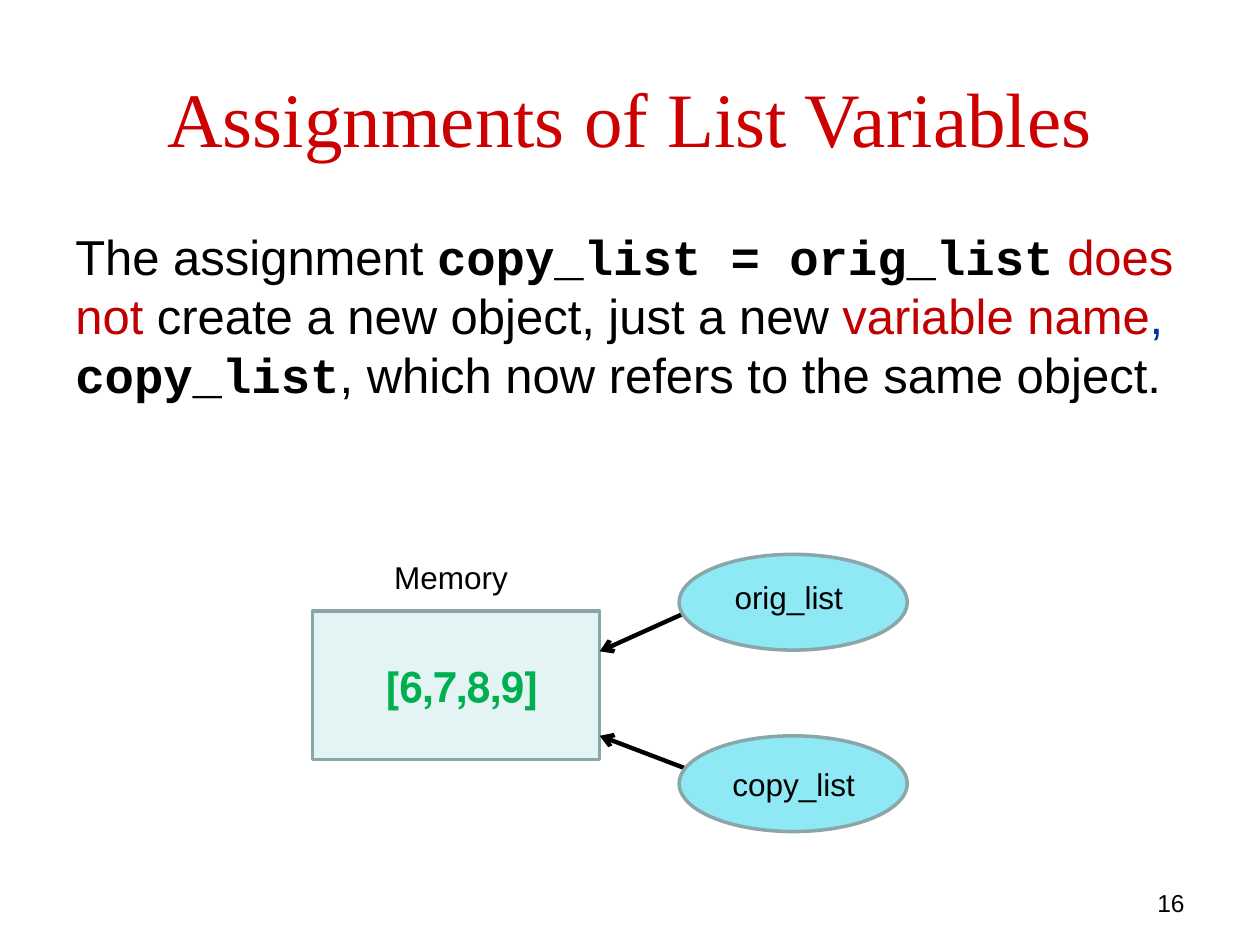
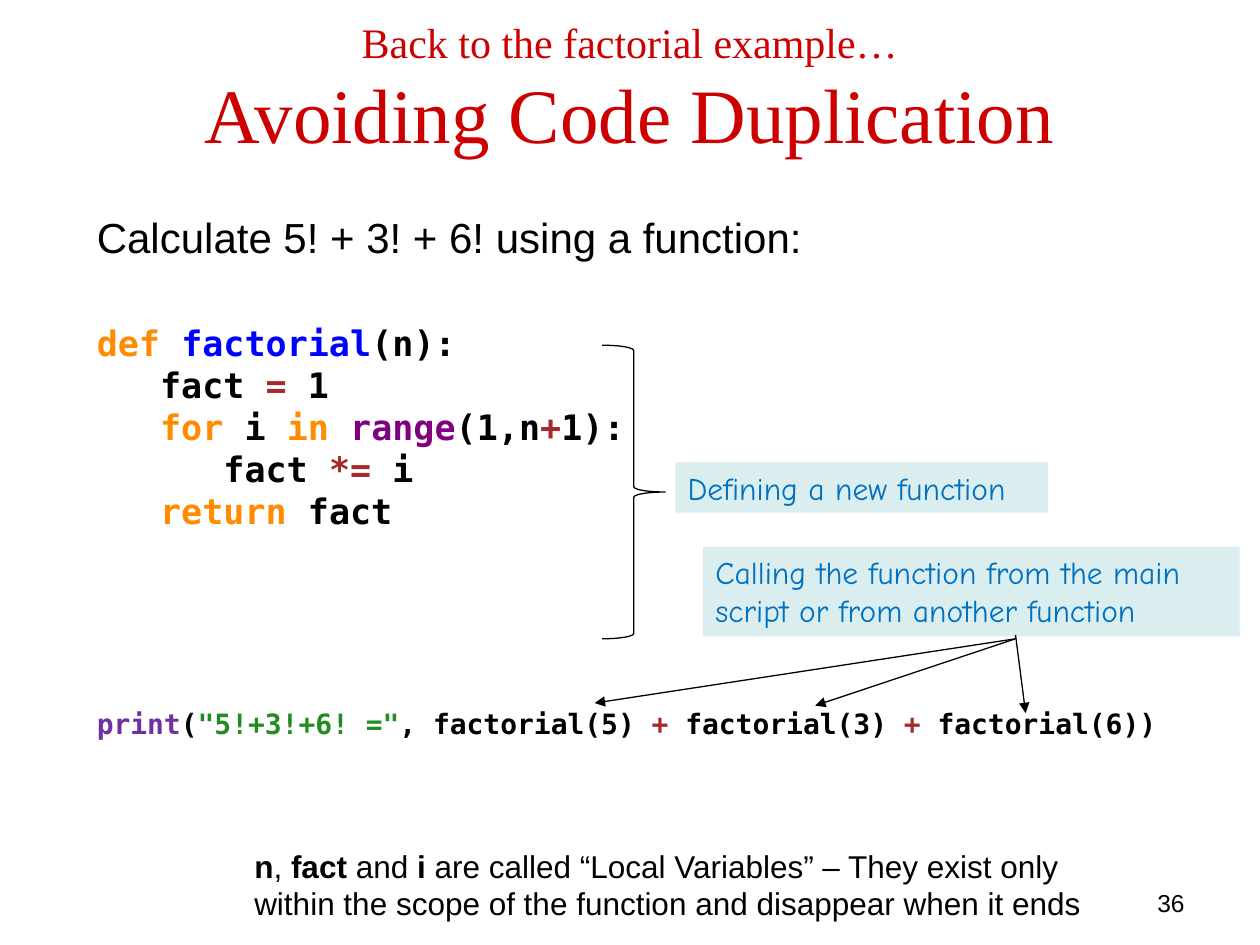
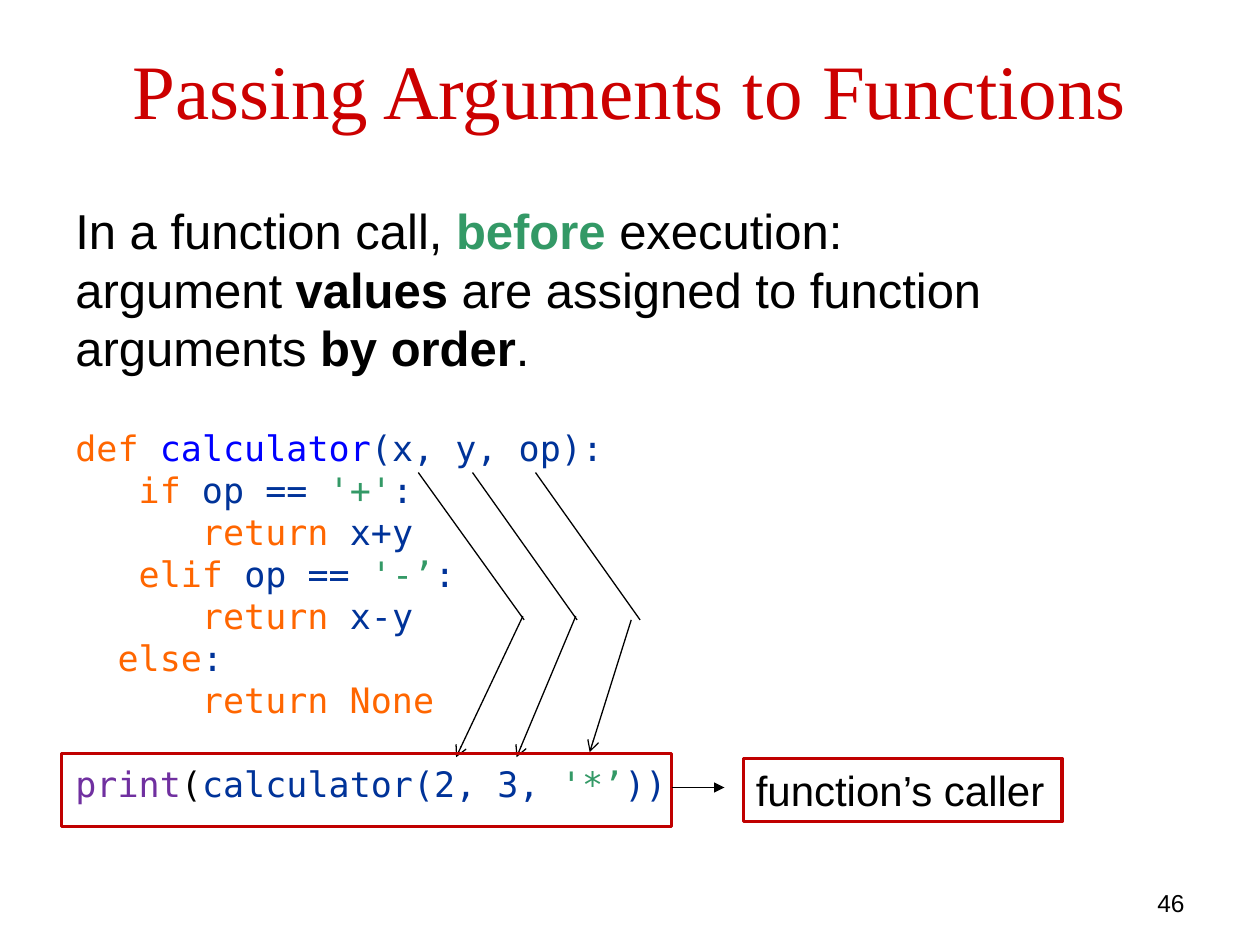
from collections import namedtuple

from lxml.etree import SubElement
from pptx import Presentation
from pptx.dml.color import RGBColor
from pptx.enum.shapes import MSO_CONNECTOR, MSO_SHAPE
from pptx.enum.text import MSO_ANCHOR, PP_ALIGN
from pptx.oxml.ns import qn
from pptx.util import Inches, Pt

BLACK = "000000"
DARK_RED = "C00000"
NAVY = "003399"
BLUE = "0000FF"
GREEN = "339966"
VIOLET = "7030A0"
ORANGE = "FF6600"
GREY_TEAL = "8AA6A8"
PALE_TEAL = "DAEDEF"

SANS = {"name": "Arial", "color": BLACK, "bold": False}
TITLE = {"name": "Times New Roman", "size": 44, "color": "CC0000", "bold": False}
BODY = SANS | {"size": 28}
LEAD = SANS | {"size": 24}
LABEL = SANS | {"size": 18}
CALLOUT = {"name": "Comic Neue", "size": 18, "color": "0070C0", "bold": False}
CODE = {"name": "DejaVu Sans Mono", "size": 20, "color": BLACK, "bold": False}
BOLD_CODE = CODE | {"bold": True}
BOLD = {"bold": True}

# Runs are plain strings or (text, format changes); gap is the space before, in points.
Line = namedtuple("Line", "runs style gap", defaults=(0,))


def rgb(hex_color):
    return RGBColor.from_string(hex_color)


def tint(text, hex_color, **changes):
    return text, {"color": hex_color, **changes}


def set_font(font, style):
    for key, value in style.items():
        if key == "color":
            font.color.rgb = rgb(value)
        else:
            setattr(font, key, Pt(value) if key == "size" else value)


def write(shape, lines, align=PP_ALIGN.LEFT, anchor=MSO_ANCHOR.TOP):
    frame = shape.text_frame
    frame.word_wrap = True
    frame.vertical_anchor = anchor
    for index, line in enumerate(lines):
        paragraph = frame.add_paragraph() if index else frame.paragraphs[0]
        paragraph.alignment = align
        if line.gap:
            paragraph.space_before = Pt(line.gap)
        for part in line.runs:
            text, changes = (part, {}) if isinstance(part, str) else part
            run = paragraph.add_run()
            run.text = text
            set_font(run.font, line.style | changes)


def add_text(slide, box, lines, **layout):
    write(slide.shapes.add_textbox(*map(Inches, box)), lines, **layout)


def add_box(slide, box, preset=MSO_SHAPE.RECTANGLE, fill=None, outline=None, width=2):
    shape = slide.shapes.add_shape(preset, *map(Inches, box))
    shape.shadow.inherit = False
    if fill:
        shape.fill.solid()
        shape.fill.fore_color.rgb = rgb(fill)
    else:
        shape.fill.background()
    if outline:
        shape.line.color.rgb = rgb(outline)
        shape.line.width = Pt(width)
    else:
        shape.line.fill.background()
    return shape


def add_line(slide, start, end, arrow=None, width=0.75):
    line = slide.shapes.add_connector(MSO_CONNECTOR.STRAIGHT, *map(Inches, (*start, *end)))
    line.line.color.rgb = rgb(BLACK)
    line.line.width = Pt(width)
    if arrow:
        SubElement(line.line._get_or_add_ln(), qn("a:tailEnd"), type=arrow)
    SubElement(line._element.spPr, qn("a:effectLst"))


def add_slide(deck, number, title_lines, title_top=0.3):
    """Add a blank slide with the shared title and slide number."""
    slide = deck.slides.add_slide(deck.slide_layouts[6])
    add_text(slide, (0.5, title_top, 9, 1.25), title_lines,
             align=PP_ALIGN.CENTER, anchor=MSO_ANCHOR.MIDDLE)
    add_text(slide, (7.17, 7, 2.33, 0.25), [Line([str(number)], SANS | {"size": 14})],
             align=PP_ALIGN.RIGHT)
    return slide


def build_list_variables(deck):
    slide = add_slide(deck, 16, [Line(["Assignments of List Variables"], TITLE)])
    courier = {"name": "Courier New", "bold": True}
    add_text(slide, (0.5, 1.75, 9, 4.95), [Line([
        "The assignment ", ("copy_list = orig_list", courier),
        tint(" does not ", DARK_RED), "create a new object, just a new ",
        tint("variable name", DARK_RED), tint(", ", NAVY),
        ("copy_list", courier), ", which now refers to the same object."], BODY)])

    memory = add_box(slide, (2.48, 4.85, 2.28, 1.18), fill="E4F3F4", outline=GREY_TEAL)
    write(memory, [Line([tint("[6,7,8,9] ", "00B050", bold=True)], LEAD)],
          align=PP_ALIGN.CENTER, anchor=MSO_ANCHOR.MIDDLE)
    memory.text_frame.paragraphs[0]._p.get_or_add_pPr().set("rtl", "1")
    add_text(slide, (3.03, 4.38, 1.18, 0.4), [Line(["Memory"], LABEL)])

    for name, oval_top, name_left, name_top, start_y, end_y in (
            ("orig_list", 4.4, 5.67, 4.54, 4.85, 5.17),
            ("copy_list", 5.84, 5.71, 6.02, 6.11, 5.84)):
        add_line(slide, (5.47, start_y), (4.76, end_y), "arrow", 2.5)
        add_box(slide, (5.39, oval_top, 1.81, 0.76), MSO_SHAPE.OVAL, "8FE9F5", GREY_TEAL)
        add_text(slide, (name_left, name_top, 1.18, 0.4), [Line([name], LABEL)],
                 align=PP_ALIGN.CENTER)


def build_code_duplication(deck):
    slide = add_slide(deck, 36, [
        Line(["Back to the factorial example…"], TITLE | {"size": 24}),
        Line(["Avoiding Code Duplication"], TITLE)], title_top=0.07)
    keyword, operator = "FF8C00", "A52A2A"
    plus = tint("+", operator)
    add_text(slide, (0.67, 1.63, 8.67, 4.44), [
        Line(["Calculate 5! + 3! + 6! using a function:"], LEAD),
        Line([tint("def ", keyword), tint("factorial", BLUE), "(n):"], BOLD_CODE, 34),
        Line(["   fact ", tint("=", operator), " 1"], BOLD_CODE),
        Line([tint("   for", keyword), " i ", tint("in ", keyword),
              tint("range", "800080"), "(1,n", plus, "1):"], BOLD_CODE),
        Line(["      fact ", tint("*=", operator), " i"], BOLD_CODE),
        Line([tint("   return", keyword), " fact"], BOLD_CODE),
        Line([tint("print", VIOLET), "(", tint('"5!+3!+6! ="', "228B22"),
              ", factorial(5) ", plus, " factorial(3) ", plus, " factorial(6))"],
             BOLD_CODE | {"size": 16}, 100)])

    add_box(slide, (4.78, 2.74, 0.5, 2.33), MSO_SHAPE.RIGHT_BRACE, outline=BLACK, width=0.75)
    for box, note in (
            ((5.36, 3.67, 2.96, 0.4), "Defining a new function"),
            ((5.58, 4.34, 4.26, 0.71),
             "Calling the function from the main script or from another function")):
        write(add_box(slide, box, fill=PALE_TEAL), [Line([note], CALLOUT)])
    for start_y, call in ((5.07, (4.72, 5.58)), (5.07, (6.47, 5.6)), (5.04, (8.14, 5.66))):
        add_line(slide, (8.06, start_y), call, "triangle")

    add_text(slide, (1.92, 6.67, 7, 0.71), [Line([
        ("n", BOLD), ", ", ("fact", BOLD), " and ", ("i ", BOLD),
        "are called “Local Variables” – They exist only within the scope of the "
        "function and disappear when it ends"], LABEL)])


def build_passing_arguments(deck):
    slide = add_slide(deck, 46, [Line(["Passing Arguments to Functions"], TITLE)],
                      title_top=0.08)
    code = CODE | {"color": NAVY}
    add_text(slide, (0.5, 1.54, 9, 5.16), [
        Line(["In a function call, ", tint("before ", GREEN, bold=True), "execution:"], BODY),
        Line(["argument ", ("values", BOLD), " are assigned to function arguments ",
              ("by order", BOLD), "."], BODY),
        Line([tint("def ", ORANGE), tint("calculator", BLUE), "(x, y, op):"], code, 28.5),
        Line([tint("   if", ORANGE), " op == ", tint("'+'", GREEN), ":"], code),
        Line([tint("      return ", ORANGE), "x+y"], code),
        Line([tint("   elif ", ORANGE), "op == ", tint("'-’", GREEN), ":"], code),
        Line([tint("      return", ORANGE), " x-y"], code),
        Line([tint("  else", ORANGE), ":"], code),
        Line([tint("      return None", ORANGE)], code),
        Line([tint("print", VIOLET), tint("(", BLACK), "calculator(2, 3, ",
              tint("'*’", GREEN), "))"], code, 24)])

    for parameter_x, bend_x, arrow_start, argument in (
            (3.32, 4.16, (4.15, 4.89), (3.62, 6.01)),
            (3.75, 4.58, (4.57, 4.89), (4.1, 6.01)),
            (4.25, 5.08, (5.01, 4.92), (4.68, 5.97))):
        add_line(slide, (parameter_x, 3.75), (bend_x, 4.92))
        add_line(slide, arrow_start, argument, "arrow")

    add_box(slide, (0.49, 5.98, 4.84, 0.58), outline=DARK_RED)
    add_line(slide, (5.33, 6.25), (5.75, 6.25), "triangle")
    caller = add_box(slide, (5.9, 6.02, 2.53, 0.5), outline=DARK_RED)
    write(caller, [Line(["function’s caller"], LEAD)], anchor=MSO_ANCHOR.MIDDLE)


def main():
    deck = Presentation()
    deck.slide_width, deck.slide_height = Inches(10), Inches(7.5)
    build_list_variables(deck)
    build_code_duplication(deck)
    build_passing_arguments(deck)
    deck.save("out.pptx")


if __name__ == "__main__":
    main()
